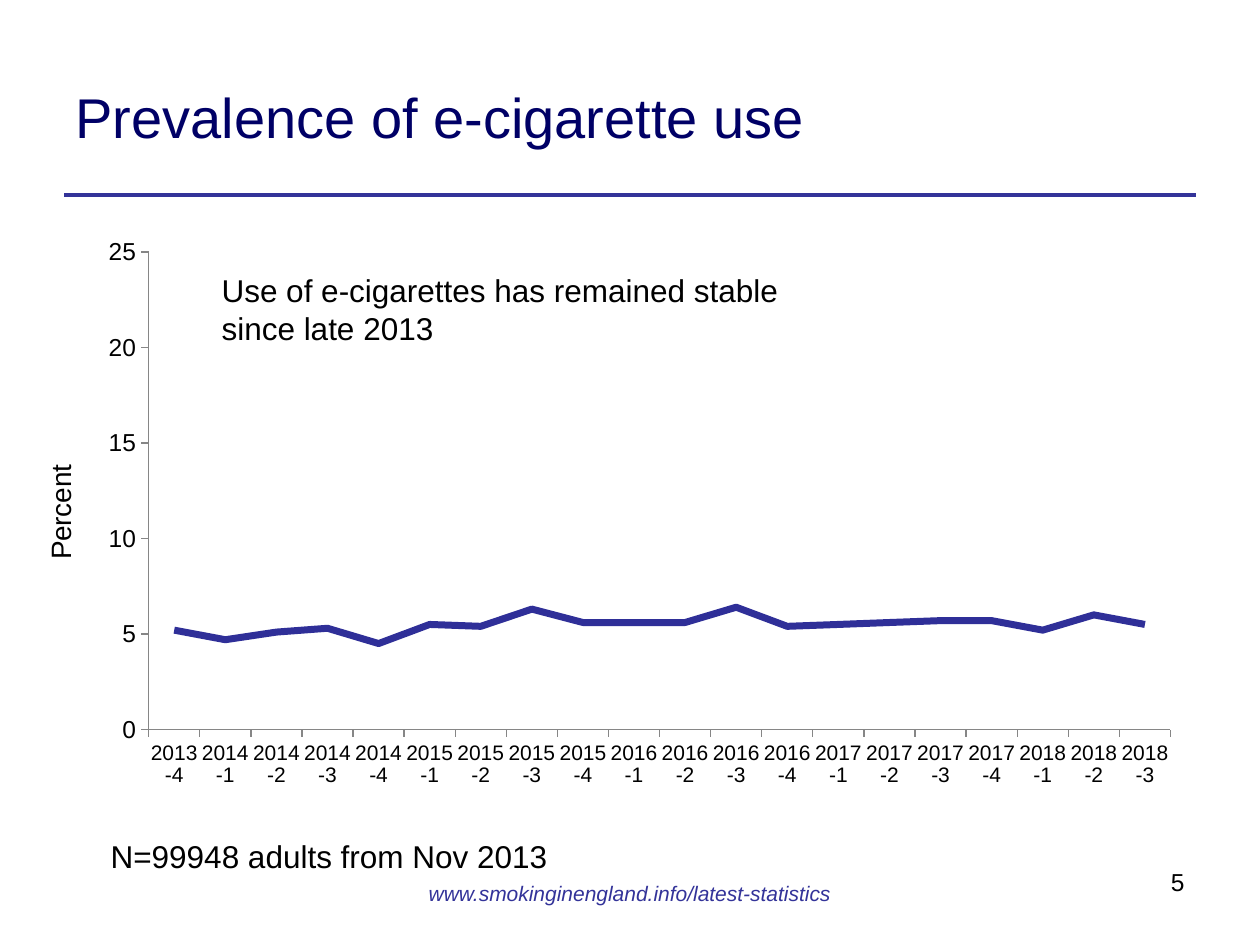
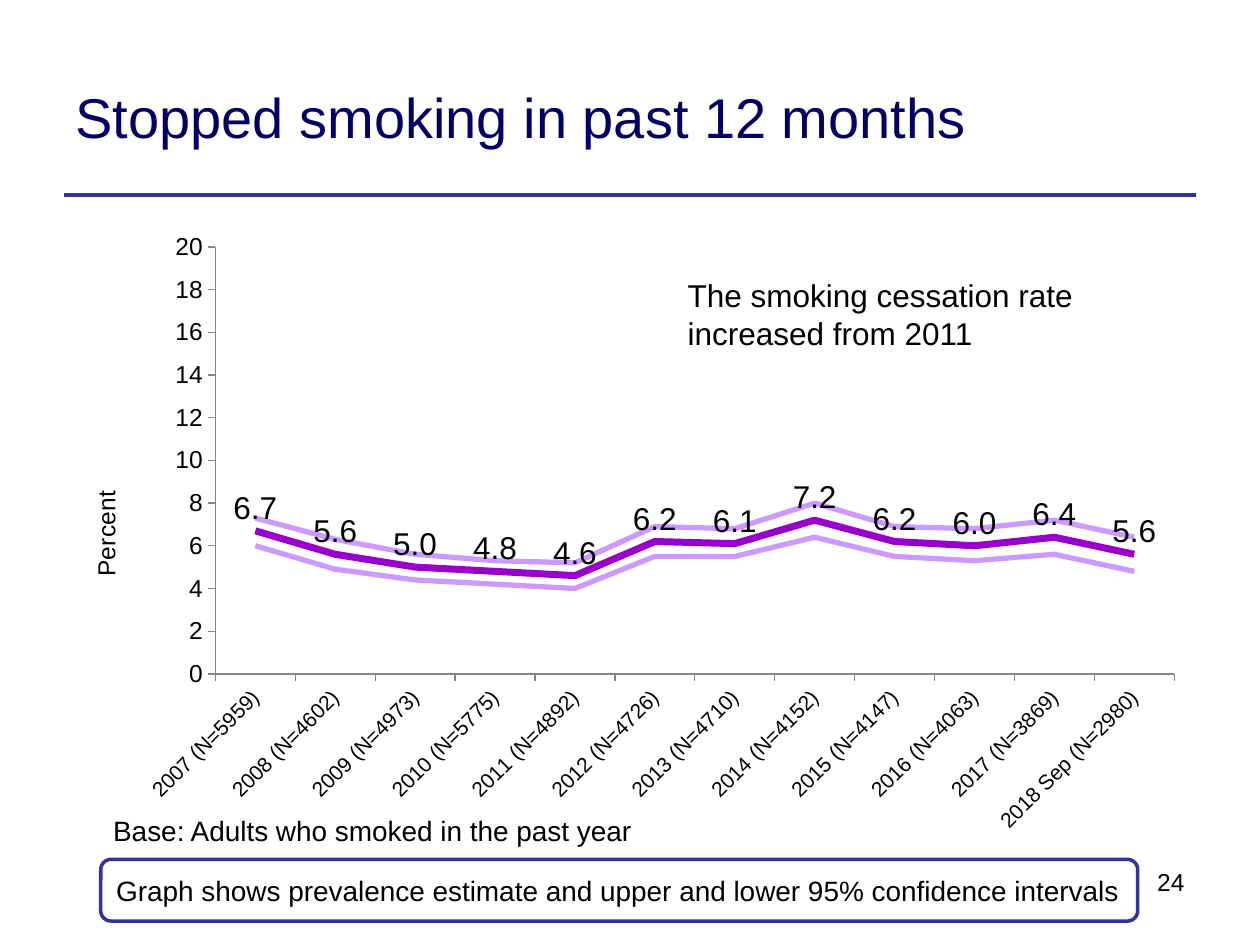
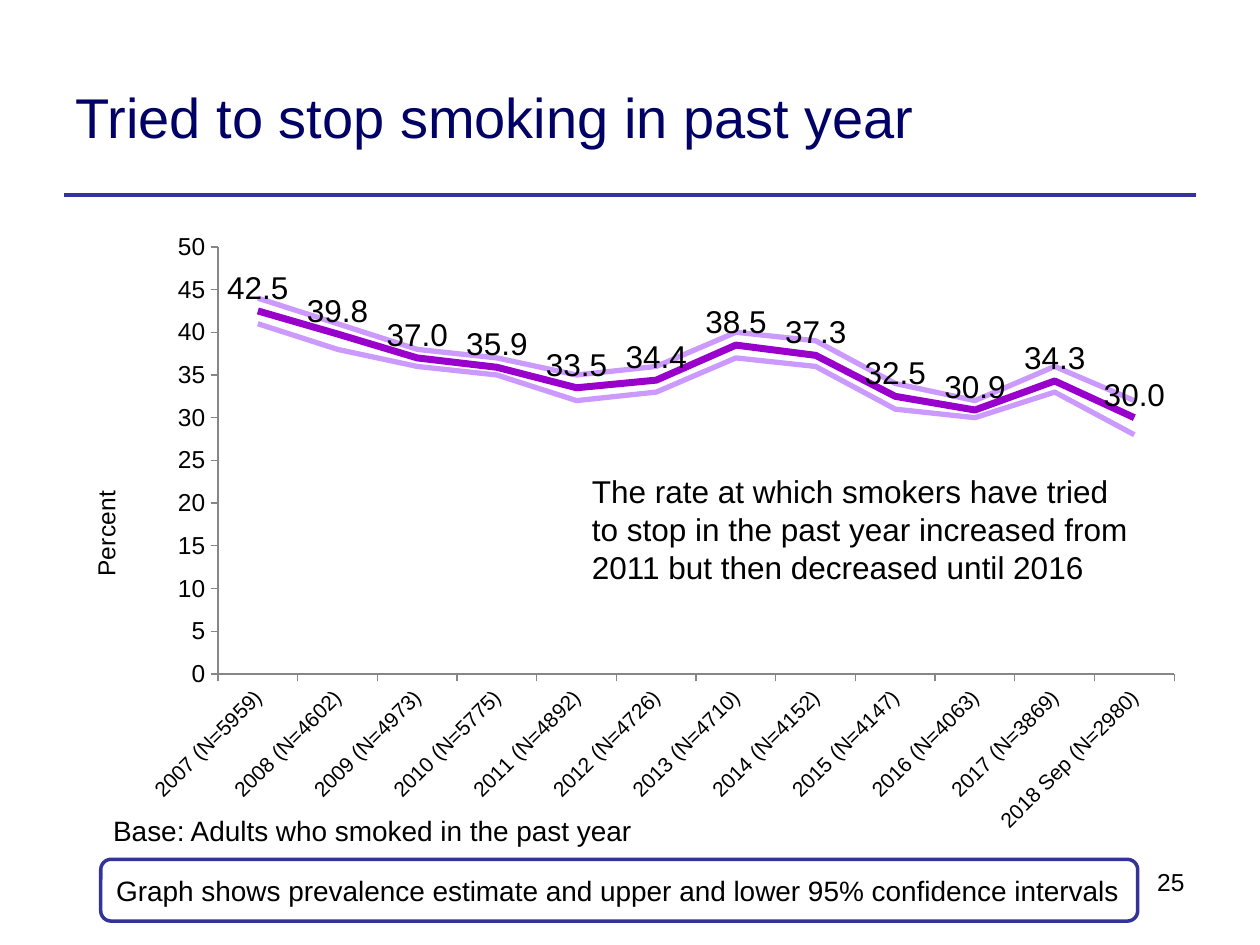
from pptx import Presentation
from pptx.chart.data import CategoryChartData
from pptx.dml.color import RGBColor
from pptx.enum.chart import XL_CHART_TYPE, XL_LABEL_POSITION, XL_MARKER_STYLE, XL_TICK_MARK
from pptx.enum.shapes import MSO_CONNECTOR, MSO_SHAPE
from pptx.enum.text import MSO_ANCHOR, MSO_AUTO_SIZE, PP_ALIGN
from pptx.oxml import parse_xml
from pptx.oxml.ns import nsdecls, qn
from pptx.util import Inches, Pt

LINE = XL_CHART_TYPE.LINE
ABOVE = XL_LABEL_POSITION.ABOVE
NO_MARK = XL_MARKER_STYLE.NONE
OUT, NO_TICK = XL_TICK_MARK.OUTSIDE, XL_TICK_MARK.NONE
LEFT, RIGHT, CENTER = PP_ALIGN.LEFT, PP_ALIGN.RIGHT, PP_ALIGN.CENTER
MIDDLE = MSO_ANCHOR.MIDDLE

FONT = "Arial"
COLORS = {"title": "000066", "text": "000000", "rule": "333399", "white": "FFFFFF",
          "axis": "868686", "use": "2F2F98", "rate": "9900CC", "limit": "CC99FF"}

# Content
QUARTERS = ["2013-4"] + [f"{y}-{q}" for y in range(2014, 2018) for q in range(1, 5)]
QUARTERS += [f"2018-{q}" for q in range(1, 4)]
BASES = [5959, 4602, 4973, 5775, 4892, 4726, 4710, 4152, 4147, 4063, 3869, 2980]
YEARS = [f"{2007 + i}{' Sep' if i == 11 else ''} (N={n})" for i, n in enumerate(BASES)]
BASE = "Base: Adults who smoked in the past year"
KEY = "Graph shows prevalence estimate and upper and lower 95% confidence intervals"
SITE = "www.smokinginengland.info/latest-statistics"

# Plot and axis name are placed in inches from the chart's corner
USE = {"at": (0.3, 1.75, 9.2, 4.84), "cats": QUARTERS, "tilt": 0, "size": 16,
       "name_at": (0, 1.9), "lines": [("use", 4)]}
RATE = {"at": (0.5, 1.75, 9, 4.95), "cats": YEARS, "tilt": -45, "size": 14,
        "name_at": (0.18, 2.11), "lines": [("rate", 4), ("limit", 3), ("limit", 3)]}

SLIDES = [
    {"title": "Prevalence of e-cigarette use", "number": 5, "kind": USE,
     "plot": (0.88, 0.25, 8.11, 3.79), "top": 25, "step": 5,
     "note": ("Use of e-cigarettes has remained stable since late 2013",
              (1.66, 2.1, 4.68, 0.71)),
     "sample": "N=99948 adults from Nov 2013",
     "values": [[5.2, 4.7, 5.1, 5.3, 4.5, 5.5, 5.4, 6.3, 5.6, 5.6,
                 5.6, 6.4, 5.4, 5.5, 5.6, 5.7, 5.7, 5.2, 6, 5.5]]},
    {"title": "Stopped smoking in past 12 months", "number": 24, "kind": RATE,
     "plot": (1.21, 0.21, 7.61, 3.39), "top": 20, "step": 2,
     "note": ("The smoking cessation rate increased from 2011", (5.36, 2.14, 4.26, 0.71)),
     "values": [[6.7, 5.6, 5, 4.8, 4.6, 6.2, 6.1, 7.2, 6.2, 6, 6.4, 5.6],
                [6, 4.9, 4.4, 4.2, 4, 5.5, 5.5, 6.4, 5.5, 5.3, 5.6, 4.8],
                [7.3, 6.3, 5.6, 5.3, 5.2, 6.9, 6.8, 8, 6.9, 6.8, 7.2, 6.4]]},
    {"title": "Tried to stop smoking in past year", "number": 25, "kind": RATE,
     "plot": (1.23, 0.21, 7.59, 3.39), "top": 50, "step": 5,
     "note": ("The rate at which smokers have tried to stop in the past year "
              "increased from 2011 but then decreased until 2016", (4.6, 3.7, 4.53, 1.01)),
     "values": [[42.5, 39.8, 37, 35.9, 33.5, 34.4, 38.5, 37.3, 32.5, 30.9, 34.3, 30],
                [44, 41, 38, 37, 35, 36, 40, 39, 34, 32, 36, 32],
                [41, 38, 36, 35, 32, 33, 37, 36, 31, 30, 33, 28]]},
]


def rgb(name):
    return RGBColor.from_string(COLORS[name])


def style(font, size, color="text"):
    font.name, font.size, font.bold = FONT, Pt(size), False
    font.color.rgb = rgb(color)


def write(shape, text, size, color="text", align=LEFT, wrap=True):
    frame = shape.text_frame
    frame.text = text
    frame.word_wrap = wrap
    frame.auto_size = MSO_AUTO_SIZE.NONE
    para = frame.paragraphs[0]
    para.alignment = align
    style(para.runs[0].font, size, color)
    return para


def add_text(slide, at, *args, **opts):
    return write(slide.shapes.add_textbox(*map(Inches, at)), *args, **opts)


# Shared frame: title, rule and slide number
def add_frame(slide, item):
    title = slide.shapes.title
    title.left, title.top, title.width, title.height = map(Inches, (0.5, 0.3, 7.89, 1.25))
    write(title, item["title"], 32, "title")
    title.text_frame.vertical_anchor = MIDDLE
    ends = map(Inches, (0.51, 1.55, 9.49, 1.55))
    rule = slide.shapes.add_connector(MSO_CONNECTOR.STRAIGHT, *ends)
    rule.line.color.rgb, rule.line.width = rgb("rule"), Pt(2.25)
    rule._element.spPr.append(parse_xml(f"<a:effectLst {nsdecls('a')}/>"))
    add_text(slide, (6.73, 6.83, 2.77, 0.52), str(item["number"]), 14, align=RIGHT)


# Fixed place inside the chart, turned from inches into shares of its size
def place(parent, index, spots, size, inner=False):
    old = parent.find(qn("c:layout"))
    if old is not None:
        parent.remove(old)
    target = '<c:layoutTarget val="inner"/>' if inner else ""
    modes = '<c:xMode val="edge"/><c:yMode val="edge"/>'
    shares = "".join(f'<c:{k} val="{v / full:.4f}"/>'
                     for k, v, full in zip("xywh", spots, size * 2))
    parent.insert(index, parse_xml(
        f"<c:layout {nsdecls('c')}><c:manualLayout>{target}{modes}{shares}"
        "</c:manualLayout></c:layout>"))


def style_axis(axis, size):
    axis.has_major_gridlines = False
    axis.major_tick_mark, axis.minor_tick_mark = OUT, NO_TICK
    axis.format.line.color.rgb = rgb("axis")
    axis.format.line.width = Pt(0.75)
    style(axis.tick_labels.font, size)


def add_graph(slide, item):
    kind = item["kind"]
    size = kind["at"][2:]
    data = CategoryChartData()
    data.categories = kind["cats"]
    for i, row in enumerate(item["values"], 1):
        data.add_series(f"Series {i}", row)
    chart = slide.shapes.add_chart(LINE, *map(Inches, kind["at"]), data).chart
    chart.has_legend = chart.has_title = False
    style(chart.font, 18)
    place(chart._chartSpace.chart.plotArea, 0, item["plot"], size, inner=True)

    # Axes
    cat, val = chart.category_axis, chart.value_axis
    style_axis(cat, 12)
    style_axis(val, 14)
    body = cat._element.find(qn("c:txPr")).find(qn("a:bodyPr"))
    body.set("rot", str(kind["tilt"] * 60000))
    val.minimum_scale, val.maximum_scale, val.major_unit = 0, item["top"], item["step"]
    val.tick_labels.number_format = "General"
    val.tick_labels.number_format_is_linked = False
    name = val.axis_title
    name.text_frame.text = "Percent"
    style(name.text_frame.paragraphs[0].runs[0].font, kind["size"])
    name.text_frame._txBody.bodyPr.set("rot", "-5400000")
    place(name._element, 1, kind["name_at"], size)

    # Lines and labels
    plot = chart.plots[0]
    plot.vary_by_categories = False
    for series, (color, width) in zip(plot.series, kind["lines"]):
        series.smooth = False
        series.marker.style = NO_MARK
        series.format.line.color.rgb = rgb(color)
        series.format.line.width = Pt(width)
        if color == "rate":
            labels = series.data_labels
            labels.show_value, labels.position = True, ABOVE
            labels.number_format, labels.number_format_is_linked = "#,##0.0", False
            style(labels.font, 18)


def add_key(slide):
    box = slide.shapes.add_shape(MSO_SHAPE.ROUNDED_RECTANGLE,
                                 *map(Inches, (0.8, 6.82, 8.23, 0.49)))
    box.shadow.inherit = False
    box.fill.solid()
    box.fill.fore_color.rgb = rgb("white")
    box.line.color.rgb, box.line.width = rgb("rule"), Pt(2)
    write(box, KEY, 16)
    box.text_frame.vertical_anchor = MIDDLE
    add_text(slide, (0.8, 6.41, 4.37, 0.37), BASE, 16, wrap=False)


def add_site(slide, sample):
    add_text(slide, (0.78, 6.59, 3.7, 0.4), sample, 18, wrap=False)
    para = add_text(slide, (3.29, 6.98, 3.42, 0.26), SITE, 12, "rule", CENTER, wrap=False)
    para.line_spacing = 0.8
    para.runs[0].font.italic = True


def main():
    deck = Presentation()
    deck.slide_width, deck.slide_height = Inches(10), Inches(7.5)
    for item in SLIDES:
        slide = deck.slides.add_slide(deck.slide_layouts[5])
        add_frame(slide, item)
        add_graph(slide, item)
        note, at = item["note"]
        add_text(slide, at, note, 18)
        if "sample" in item:
            add_site(slide, item["sample"])
        else:
            add_key(slide)
    deck.save("out.pptx")


if __name__ == "__main__":
    main()
